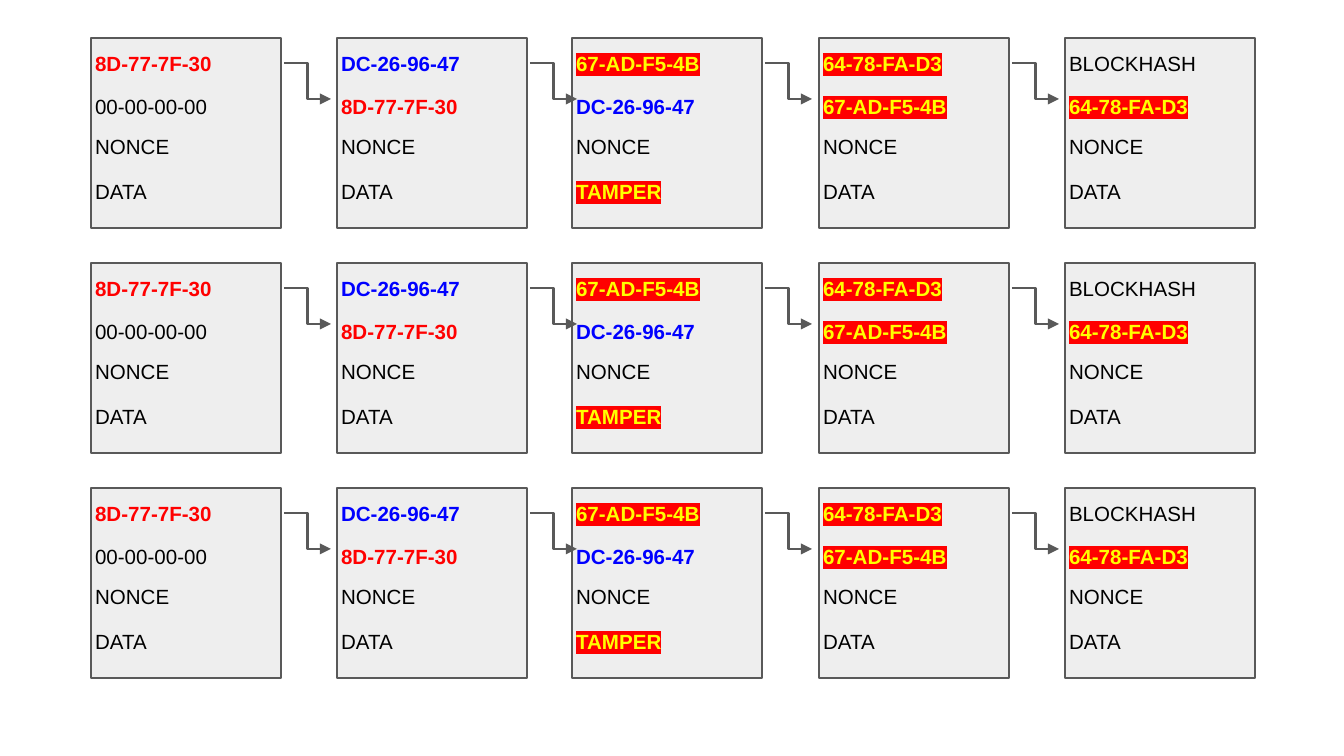
import pptx
import pptx.util
import pptx.dml.color
import pptx.enum.shapes
import pptx.enum.text
import pptx.oxml
import pptx.oxml.ns

RGB = pptx.dml.color.RGBColor
BLACK = RGB(0x00, 0x00, 0x00)
RED = RGB(0xFF, 0x00, 0x00)
BLUE = RGB(0x00, 0x00, 0xFF)
YELLOW = RGB(0xFF, 0xFF, 0x00)
GRAY = RGB(0xEE, 0xEE, 0xEE)
DARK = RGB(0x59, 0x59, 0x59)
NS = pptx.oxml.ns.nsdecls("a")
QN = pptx.oxml.ns.qn
SCALE = 914400 / 134.4


def px(num):
    return pptx.util.Emu(round(num * SCALE))


# Text styles: colour, bold, highlight
PLAIN = (BLACK, False, None)
FIRST = (RED, True, None)
NEXT = (BLUE, True, None)
ALERT = (YELLOW, True, RED)

# Blocks: left edge, then text, style and height of each field
NONCE = ("NONCE", PLAIN, 52)
DATA = ("DATA", PLAIN, 52)
BLOCKS = [
    (91, [("8D-77-7F-30", FIRST, 52), ("00-00-00-00", PLAIN, 52), NONCE, DATA]),
    (337, [("DC-26-96-47", NEXT, 77), ("8D-77-7F-30", FIRST, 77), NONCE, DATA]),
    (572, [("67-AD-F5-4B", ALERT, 52), ("DC-26-96-47", NEXT, 77), NONCE,
           ("TAMPER", ALERT, 52)]),
    (819, [("64-78-FA-D3", ALERT, 52), ("67-AD-F5-4B", ALERT, 102), NONCE, DATA]),
    (1065, [("BLOCKHASH", PLAIN, 52), ("64-78-FA-D3", ALERT, 102), NONCE, DATA]),
]
SIDE = 190
TOPS = [38, 263, 488]
SLOTS = [(1, 206), (44, 224), (84, 224), (129, 224)]  # offset and width of a field
FRAME = {
    "word_wrap": True,
    "auto_size": pptx.enum.text.MSO_AUTO_SIZE.SHAPE_TO_FIT_TEXT,
    "vertical_anchor": pptx.enum.text.MSO_ANCHOR.TOP,
    "margin_left": px(13), "margin_right": px(13),
    "margin_top": px(13), "margin_bottom": px(13),
}

deck = pptx.Presentation()
deck.slide_width, deck.slide_height = px(1344), px(756)
slide = deck.slides.add_slide(deck.slide_layouts[6])

for top in TOPS:
    # Blocks of one chain
    for left, fields in BLOCKS:
        group = slide.shapes.add_group_shape()
        box = group.shapes.add_shape(
            pptx.enum.shapes.MSO_SHAPE.RECTANGLE,
            px(left), px(top), px(SIDE), px(SIDE))
        box.shadow.inherit = False
        box.fill.solid()
        box.fill.fore_color.rgb = GRAY
        box.line.color.rgb = DARK
        box.line.width = pptx.util.Pt(0.75)

        for (text, style, high), (down, wide) in zip(fields, SLOTS):
            color, bold, mark = style
            label = group.shapes.add_textbox(
                px(left - 9), px(top + down), px(wide), px(high))
            for key, value in FRAME.items():
                setattr(label.text_frame, key, value)
            run = label.text_frame.paragraphs[0].add_run()
            run.text = text
            font = {"name": "Arial", "size": pptx.util.Pt(11), "bold": bold}
            for key, value in font.items():
                setattr(run.font, key, value)
            run.font.color.rgb = color
            if mark is not None:
                fill = run._r.rPr.find(QN("a:solidFill"))
                fill.addnext(pptx.oxml.parse_xml(
                    f'<a:highlight {NS}><a:srgbClr val="{mark}"/></a:highlight>'))

    # Arrows from each block to the next
    for left, fields in BLOCKS[:-1]:
        start = left + SIDE + 3
        arrow = slide.shapes.add_connector(
            pptx.enum.shapes.MSO_CONNECTOR.ELBOW,
            px(start), px(top + 25), px(start + 47), px(top + 61))
        arrow.line.color.rgb = DARK
        arrow.line.width = pptx.util.Pt(1.5)
        arrow.line._ln.append(
            pptx.oxml.parse_xml(f'<a:tailEnd {NS} type="triangle"/>'))
        arrow._element.spPr.append(pptx.oxml.parse_xml(f"<a:effectLst {NS}/>"))

deck.save("out.pptx")
